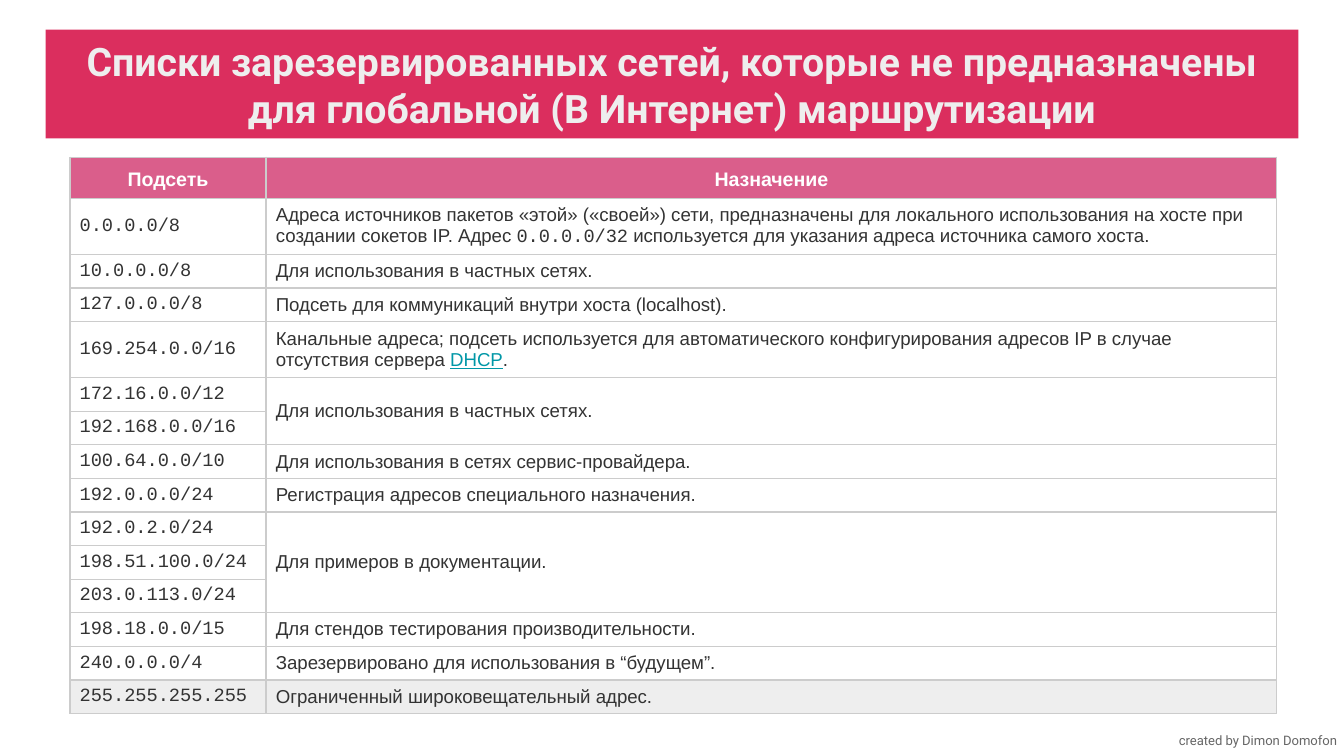
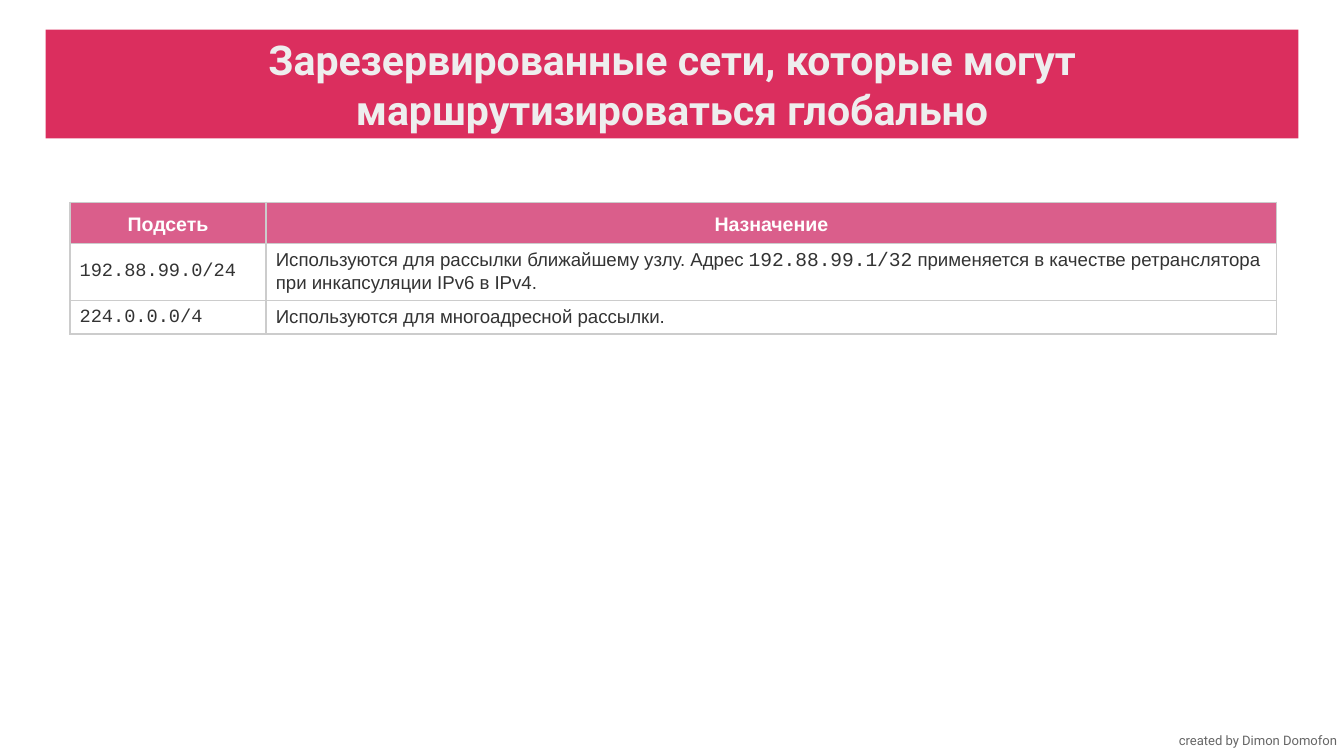
from lxml import etree
from pptx import Presentation
from pptx import util as u
from pptx.dml.color import RGBColor
from pptx.enum import shapes, text
from pptx.oxml import ns

WIDTH, HEIGHT = u.Inches(10), u.Inches(5.625)
COLORS = {
    "band": "DB2E5E", "band_text": "EEEEEE", "header": "DA5E8B",
    "header_text": "FFFFFF", "body": "333333", "term": "0097A7",
    "row": "FFFFFF", "last_row": "EEEEEE", "border": "CCCCCC", "footer": "666666",
}
SANS, MONO, DISPLAY = "Arial", "Courier New", "Roboto"

# Boxes are left, top, width, height in hundredths of the slide.
TITLE_BOX = (3.4, 3.91, 93.2, 14.4)
FOOTER_BOX = (86.1, 95.29, 15, 5.33)
TABLE_LEFT, COLUMNS = 5.2, (14.6, 75.2)
ROW_POINTS = {"header": 22, "single": 17.6, "double": 28}

HEADINGS = ("Подсеть", "Назначение")
# Each row is subnet, purpose spans, row kind; a purpose of None joins the one above.
LOCAL_ROWS = [
    ("0.0.0.0/8", [
        ("Адреса источников пакетов «этой» («своей») сети, предназначены для локального "
         "использования на хосте при создании сокетов IP. Адрес ", {}),
        ("0.0.0.0/32", {"font": MONO}),
        (" используется для указания адреса источника самого хоста.", {})], "double"),
    ("10.0.0.0/8", [("Для использования в частных сетях.", {})], "single"),
    ("127.0.0.0/8", [("Подсеть для коммуникаций внутри хоста (localhost).", {})], "single"),
    ("169.254.0.0/16", [
        ("Канальные адреса; подсеть используется для автоматического конфигурирования "
         "адресов IP в случае отсутствия сервера ", {}),
        ("DHCP", {"color": "term", "underline": True}),
        (".", {})], "double"),
    ("172.16.0.0/12", [("Для использования в частных сетях.", {})], "single"),
    ("192.168.0.0/16", None, "single"),
    ("100.64.0.0/10", [("Для использования в сетях сервис-провайдера.", {})], "single"),
    ("192.0.0.0/24", [("Регистрация адресов специального назначения.", {})], "single"),
    ("192.0.2.0/24", [("Для примеров в документации.", {})], "single"),
    ("198.51.100.0/24", None, "single"),
    ("203.0.113.0/24", None, "single"),
    ("198.18.0.0/15", [("Для стендов тестирования производительности.", {})], "single"),
    ("240.0.0.0/4", [("Зарезервировано для использования в “будущем”.", {})], "single"),
    ("255.255.255.255", [("Ограниченный широковещательный адрес.", {})], "single"),
]
GLOBAL_ROWS = [
    ("192.88.99.0/24", [
        ("Используются для рассылки ближайшему узлу. Адрес ", {}),
        ("192.88.99.1/32", {"font": MONO, "size": 10.5}),
        (" применяется в качестве ретранслятора при инкапсуляции IPv6 в IPv4.", {})], "double"),
    ("224.0.0.0/4", [("Используются для многоадресной рассылки.", {})], "single"),
]


def rgb(name):
    return RGBColor.from_string(COLORS[name])


def place(box):
    """Turn a box in hundredths of the slide into lengths."""
    return [round(share * side / 100) for share, side in zip(box, (WIDTH, HEIGHT) * 2)]


def add_span(para, words, font=SANS, size=10, color="body", bold=False, underline=False):
    span = para.add_run()
    span.text = words
    span.font.name = font
    span.font.size = u.Pt(size)
    span.font.color.rgb = rgb(color)
    span.font.bold = bold
    span.font.underline = underline


def fill_frame(box, words, **style):
    """Write one centred paragraph in the middle of a box."""
    frame = box.text_frame
    frame.word_wrap = True
    frame.vertical_anchor = text.MSO_ANCHOR.MIDDLE
    frame.margin_left = frame.margin_right = u.Inches(0.1)
    frame.margin_top = frame.margin_bottom = u.Inches(0.1)
    para = frame.paragraphs[0]
    para.alignment = text.PP_ALIGN.CENTER
    add_span(para, words, font=DISPLAY, **style)


def add_title(page, box, words, size):
    band = page.shapes.add_shape(shapes.MSO_SHAPE.RECTANGLE, *place(box))
    band.shadow.inherit = False
    band.fill.solid()
    band.fill.fore_color.rgb = rgb("band")
    band.line.fill.background()
    fill_frame(band, words, size=size, color="band_text", bold=True)


def add_footer(page, box):
    fill_frame(page.shapes.add_textbox(*place(box)), "created by Dimon Domofon",
               size=7, color="footer")


def style_cell(cell, fill):
    """Set the borders, fill and margins of a cell."""
    properties = cell._tc.get_or_add_tcPr()
    for side in ("a:lnL", "a:lnR", "a:lnT", "a:lnB"):
        line = etree.SubElement(properties, ns.qn(side), w=str(u.Pt(0.75)))
        solid = etree.SubElement(line, ns.qn("a:solidFill"))
        etree.SubElement(solid, ns.qn("a:srgbClr"), val=COLORS["border"])
    cell.fill.solid()
    cell.fill.fore_color.rgb = rgb(fill)
    cell.margin_left = cell.margin_right = u.Pt(5.25)
    cell.margin_top = cell.margin_bottom = u.Pt(3)
    cell.vertical_anchor = text.MSO_ANCHOR.MIDDLE


def add_network_table(page, left, top, rows, last_fill):
    kinds = ["header"] + [kind for _, _, kind in rows]
    heights = [u.Pt(ROW_POINTS[kind]) for kind in kinds]
    x, y, width, _ = place((left, top, sum(COLUMNS), 0))
    table = page.shapes.add_table(len(kinds), len(COLUMNS), x, y, width, sum(heights)).table
    table.first_row = table.horz_banding = False
    for column, share in zip(table.columns, COLUMNS):
        column.width = round(share * WIDTH / 100)
    for row, height in zip(table.rows, heights):
        row.height = height

    for column, heading in enumerate(HEADINGS):
        cell = table.cell(0, column)
        style_cell(cell, "header")
        para = cell.text_frame.paragraphs[0]
        para.alignment = text.PP_ALIGN.CENTER
        para.line_spacing = 1.15
        add_span(para, heading, size=10.5, color="header_text", bold=True)

    merges = {}
    for index, (subnet, purpose, _) in enumerate(rows, 1):
        subnet_cell, purpose_cell = table.cell(index, 0), table.cell(index, 1)
        for cell in (subnet_cell, purpose_cell):
            style_cell(cell, last_fill if index == len(rows) else "row")
        add_span(subnet_cell.text_frame.paragraphs[0], subnet, font=MONO)
        if purpose is None:
            merges[origin] = index
            continue
        origin = index
        for words, style in purpose:
            add_span(purpose_cell.text_frame.paragraphs[0], words, **style)
    for first, last in merges.items():
        table.cell(first, 1).merge(table.cell(last, 1))


def add_network_page(deck, title, title_size, table_top, rows, last_fill="row"):
    page = deck.slides.add_slide(deck.slide_layouts[6])
    add_footer(page, FOOTER_BOX)
    add_title(page, TITLE_BOX, title, title_size)
    add_network_table(page, TABLE_LEFT, table_top, rows, last_fill)


def main():
    deck = Presentation()
    deck.slide_width, deck.slide_height = WIDTH, HEIGHT
    add_network_page(
        deck, "Списки зарезервированных сетей, которые не предназначены "
        "для глобальной (В Интернет) маршрутизации", 21, 20.8, LOCAL_ROWS, "last_row")
    add_network_page(
        deck, "Зарезервированные сети, которые могут маршрутизироваться глобально",
        22, 26.75, GLOBAL_ROWS)
    deck.save("out.pptx")


if __name__ == "__main__":
    main()
